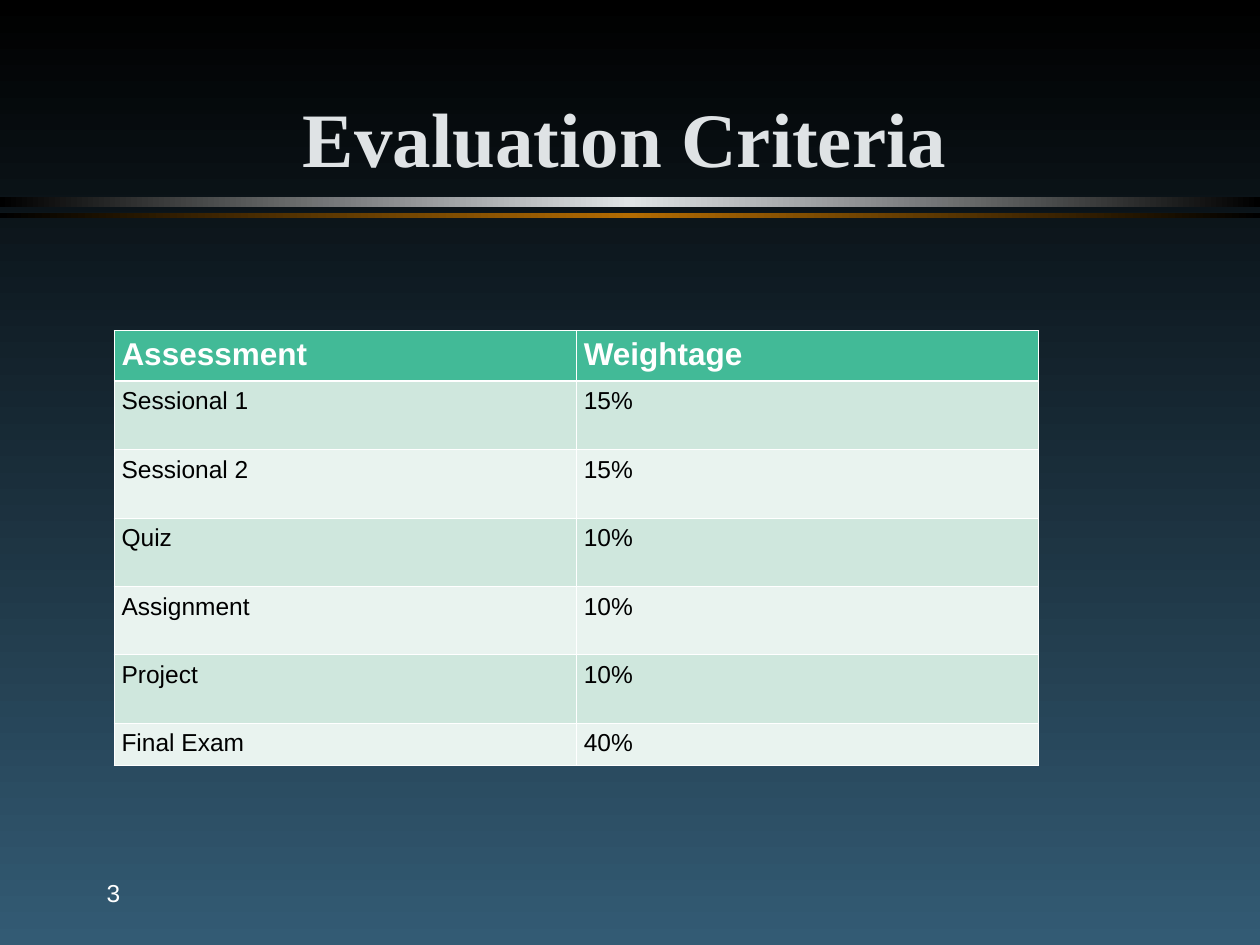
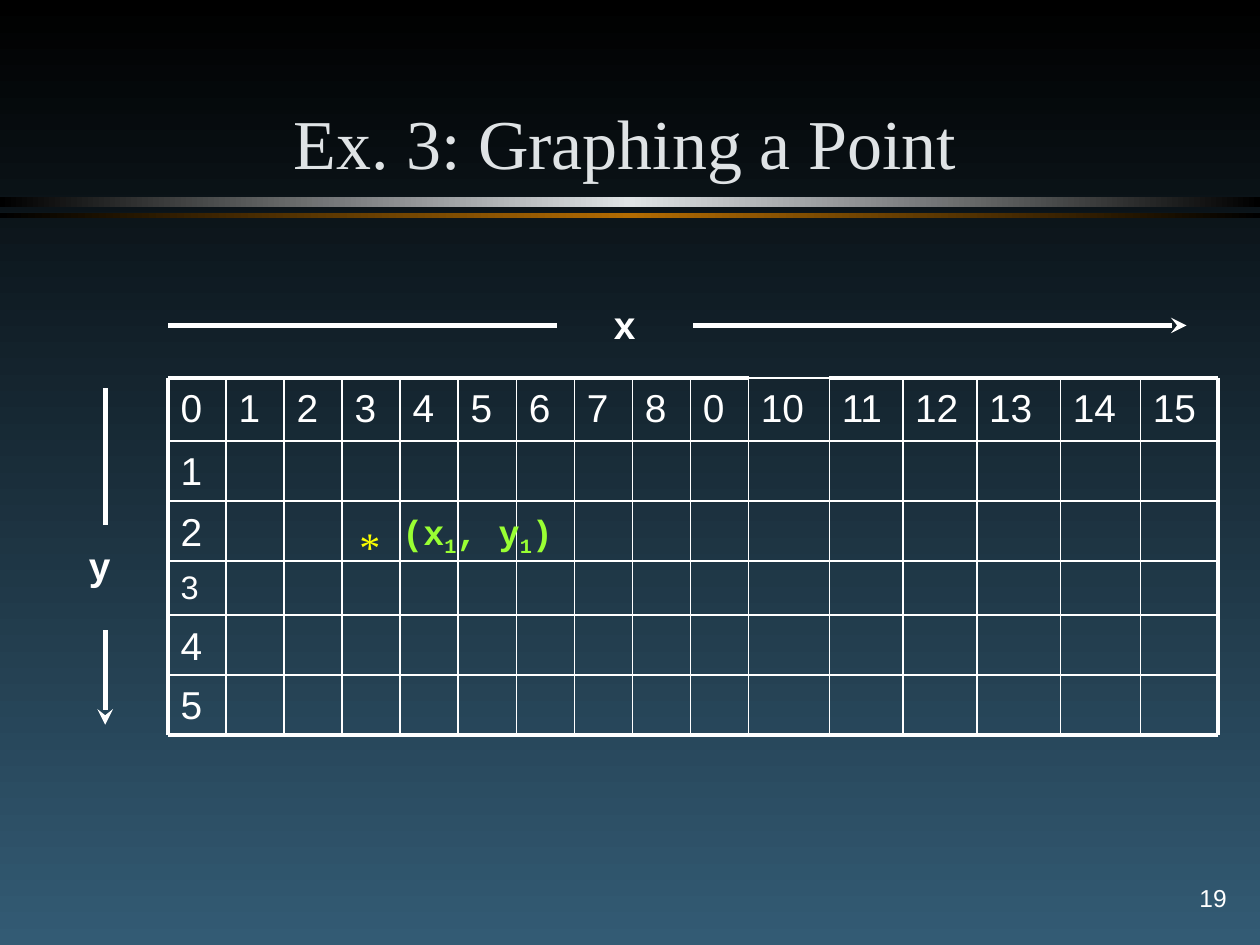
from itertools import pairwise

from lxml import etree
from copy import deepcopy
from pptx import Presentation
from pptx import util as u
from pptx.dml.color import RGBColor
from pptx.enum import shapes, text
from pptx.oxml.ns import qn

WHITE, BLACK, SILVER, AMBER, STEEL = "FFFFFF", "000000", "DFE3E5", "B26B02", "335B74"
HEADER_GREEN, BAND_GREENS = "42BA97", ("CFE7DD", "E9F3EF")
LIME, YELLOW = "99FF33", "FAFD00"
LEFT, CENTER, RIGHT = text.PP_ALIGN.LEFT, text.PP_ALIGN.CENTER, text.PP_ALIGN.RIGHT
TOP, MIDDLE, BOTTOM = (text.MSO_ANCHOR.TOP, text.MSO_ANCHOR.MIDDLE,
                       text.MSO_ANCHOR.BOTTOM)


def color(hex_string):
    return RGBColor.from_string(hex_string)


def lengths(values):
    return [u.Cm(value) for value in values]


class Deck:
    """Holds the presentation, its style and the slide being filled."""

    def __init__(self):
        self.presentation = Presentation()
        self.presentation.slide_width = u.Cm(25.4)
        self.presentation.slide_height = u.Cm(19.05)
        self.slide = None

    def add_slide(self, title, title_size, bold=False):
        layout = self.presentation.slide_layouts[6]
        self.slide = self.presentation.slides.add_slide(layout)
        self.gradient(self.slide, self.slide.background.fill, (BLACK, STEEL), 270)
        self.band(3.97, 0.2, SILVER)
        self.band(4.29, 0.1, AMBER)
        self.text(title, (1.7, 0.64, 21.8, 3.18), title_size, "Times New Roman",
                  SILVER, bold, CENTER, BOTTOM)

    def gradient(self, owner, fill, colors, angle):
        """Spread the colours evenly; owner is the slide or shape that has the fill."""
        fill.gradient()
        fill.gradient_angle = angle
        stop_list = next(owner._element.iter(qn("a:gsLst")))
        for _ in colors[2:]:
            stop_list.append(deepcopy(stop_list[0]))
        for index, (stop, hex_string) in enumerate(zip(fill.gradient_stops, colors)):
            stop.position = index / (len(colors) - 1)
            stop.color.rgb = color(hex_string)

    def band(self, top, height, middle_color):
        shape = self.slide.shapes.add_shape(
            shapes.MSO_SHAPE.RECTANGLE, *lengths((0, top, 25.4, height)))
        shape.shadow.inherit = False
        shape.line.fill.background()
        self.gradient(shape, shape.fill, (BLACK, middle_color, BLACK), 0)

    def format_run(self, run, size, font, hex_string, bold):
        run.font.size = u.Pt(size)
        run.font.name = font
        run.font.bold = bold
        run.font.color.rgb = color(hex_string)

    def text(self, content, box, size, font="Arial", hex_string=WHITE, bold=False,
             align=LEFT, anchor=TOP, wrap=True, grow=False, space_before=0):
        """Add a text box; content is a string or a list of (string, is_subscript)."""
        pieces = [(content, False)] if isinstance(content, str) else content
        frame = self.slide.shapes.add_textbox(*lengths(box)).text_frame
        frame.word_wrap = wrap
        frame.vertical_anchor = anchor
        if grow:
            frame.auto_size = text.MSO_AUTO_SIZE.SHAPE_TO_FIT_TEXT
        paragraph = frame.paragraphs[0]
        paragraph.alignment = align
        paragraph.space_before = u.Pt(space_before)
        for string, is_subscript in pieces:
            run = paragraph.add_run()
            run.text = string
            self.format_run(run, size, font, hex_string, bold)
            if is_subscript:
                run.font._element.set("baseline", "-25000")

    def page_number(self, number, box, align):
        self.text(number, box, 14, align=align, anchor=MIDDLE, wrap=False)

    def line(self, start, end, width, arrow=False):
        connector = self.slide.shapes.add_connector(
            shapes.MSO_CONNECTOR.STRAIGHT, *lengths(start + end))
        connector.line.color.rgb = color(WHITE)
        connector.line.width = u.Pt(width)
        if arrow:
            outline = connector.line._get_or_add_ln()
            etree.SubElement(outline, qn("a:tailEnd"), type="stealth")
        etree.SubElement(connector._element.spPr, qn("a:effectLst"))

    def table(self, rows, left, top, column_widths, row_heights):
        frame = self.slide.shapes.add_table(
            len(rows), len(column_widths),
            *lengths((left, top, sum(column_widths), sum(row_heights))))
        table = frame.table
        for column, width in zip(table.columns, column_widths):
            column.width = u.Cm(width)
        for index, (row, height) in enumerate(zip(table.rows, row_heights)):
            row.height = u.Cm(height)
            is_header = index == 0
            fill = HEADER_GREEN if is_header else BAND_GREENS[(index - 1) % 2]
            for cell, string in zip(row.cells, rows[index]):
                cell.text = string
                cell.margin_left = cell.margin_right = u.Cm(0.15)
                cell.margin_top = cell.margin_bottom = u.Cm(0.13)
                cell.fill.solid()
                cell.fill.fore_color.rgb = color(fill)
                self.format_run(cell.text_frame.paragraphs[0].runs[0],
                                18 if is_header else 14, "Arial",
                                WHITE if is_header else BLACK, is_header)
                self.cell_borders(cell, top=1.47 if index == 1 else 0.45,
                                  bottom=1.47 if is_header else 0.45)

    def cell_borders(self, cell, top, bottom):
        properties = cell._tc.get_or_add_tcPr()
        sides = {"a:lnL": 0.45, "a:lnR": 0.45, "a:lnT": top, "a:lnB": bottom}
        for position, (tag, width) in enumerate(sides.items()):
            border = etree.Element(qn(tag), w=str(u.Pt(width)))
            solid = etree.SubElement(border, qn("a:solidFill"))
            etree.SubElement(solid, qn("a:srgbClr"), val=WHITE)
            properties.insert(position, border)


def build_evaluation(deck):
    deck.add_slide("Evaluation Criteria", 44, bold=True)
    criteria = [
        ("Assessment", "Weightage"),
        ("Sessional 1", "15%"),
        ("Sessional 2", "15%"),
        ("Quiz", "10%"),
        ("Assignment", "10%"),
        ("Project", "10%"),
        ("Final Exam", "40%"),
    ]
    deck.table(criteria, 2.3, 6.66, [9.32] * 2, [0.96] + [1.38] * 5 + [0.8])
    deck.page_number("3", (1.9, 17.36, 5.29, 1.27), LEFT)


def build_graph(deck):
    deck.add_slide("Ex. 3: Graphing a Point", 40)
    deck.page_number("19", (21.59, 17.36, 3.39, 1.47), RIGHT)

    column_edges = [3.39 + 1.17 * index for index in range(11)]
    column_edges += [16.72, 18.2, 19.69, 21.38, 22.99, 24.55]
    row_edges = [7.62, 8.89, 10.1, 11.31, 12.4, 13.6, 14.82]
    left, right = column_edges[0], column_edges[-1]
    top, bottom = row_edges[0], row_edges[-1]

    column_labels = [*"0123456780", *map(str, range(10, 16))]
    for label, (start, end) in zip(column_labels, pairwise(column_edges)):
        deck.text(label, (start, top, end - start, 1.27), 22.2, space_before=6)
    for label, (start, end) in zip("12345", pairwise(row_edges[1:])):
        deck.text(label, (left, start, 1.17, end - start),
                  18.6 if label == "3" else 22.2, space_before=6)

    for edge in row_edges[1:]:
        deck.line((left, edge), (right, edge), 2.25 if edge == bottom else 1)
    for edge in column_edges:
        deck.line((edge, top), (edge, bottom), 2.25 if edge in (left, right) else 1)
    gap_start, gap_end = column_edges[10:12]
    deck.line((gap_start, top), (gap_end, top), 1)
    deck.line((left, top), (gap_start, top), 2.25)
    deck.line((gap_end, top), (right, top), 2.25)

    x_axis, y_axis = 6.56, 2.12
    deck.line((left, x_axis), (11.22, x_axis), 3)
    deck.line((13.97, x_axis), (23.92, x_axis), 3, arrow=True)
    deck.line((y_axis, 7.83), (y_axis, 10.58), 3)
    deck.line((y_axis, 12.7), (y_axis, 14.61), 3, arrow=True)
    for label, box in (("x", (11.43, 5.93, 2.33, 1.27)),
                       ("y", (1.27, 10.8, 1.48, 1.27))):
        deck.text(label, box, 22.2, bold=True, align=CENTER, space_before=6)

    point = [("(x", False), ("1", True), (", y", False), ("1", True), (")", False)]
    deck.text(point, (6.91, 10.16, 5.44, 1.22), 20, "Courier New", LIME, True,
              CENTER, wrap=False, grow=True, space_before=5)
    deck.text("*", (6.05, 10.37, 2.81, 1.27), 24, "Times New Roman", YELLOW,
              align=CENTER, wrap=False, grow=True, space_before=6)


def main():
    deck = Deck()
    build_evaluation(deck)
    build_graph(deck)
    deck.presentation.save("out.pptx")


if __name__ == "__main__":
    main()
